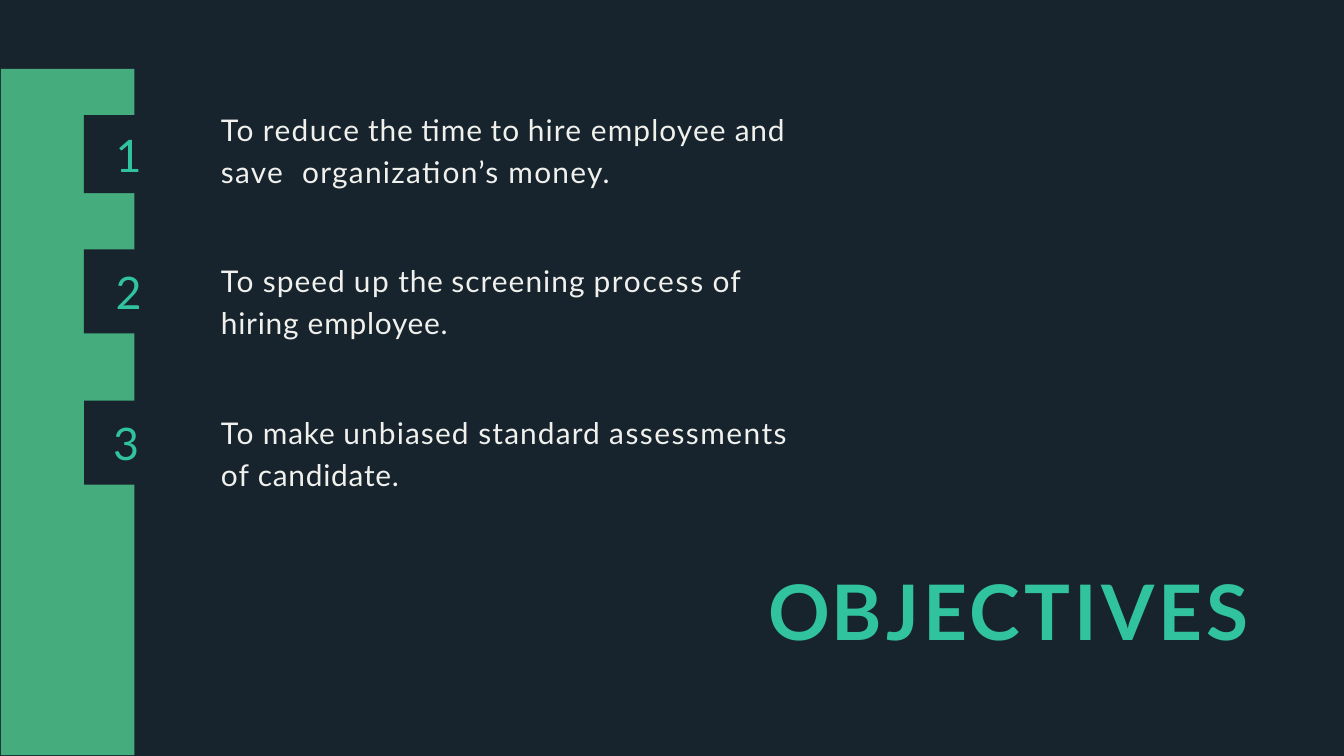
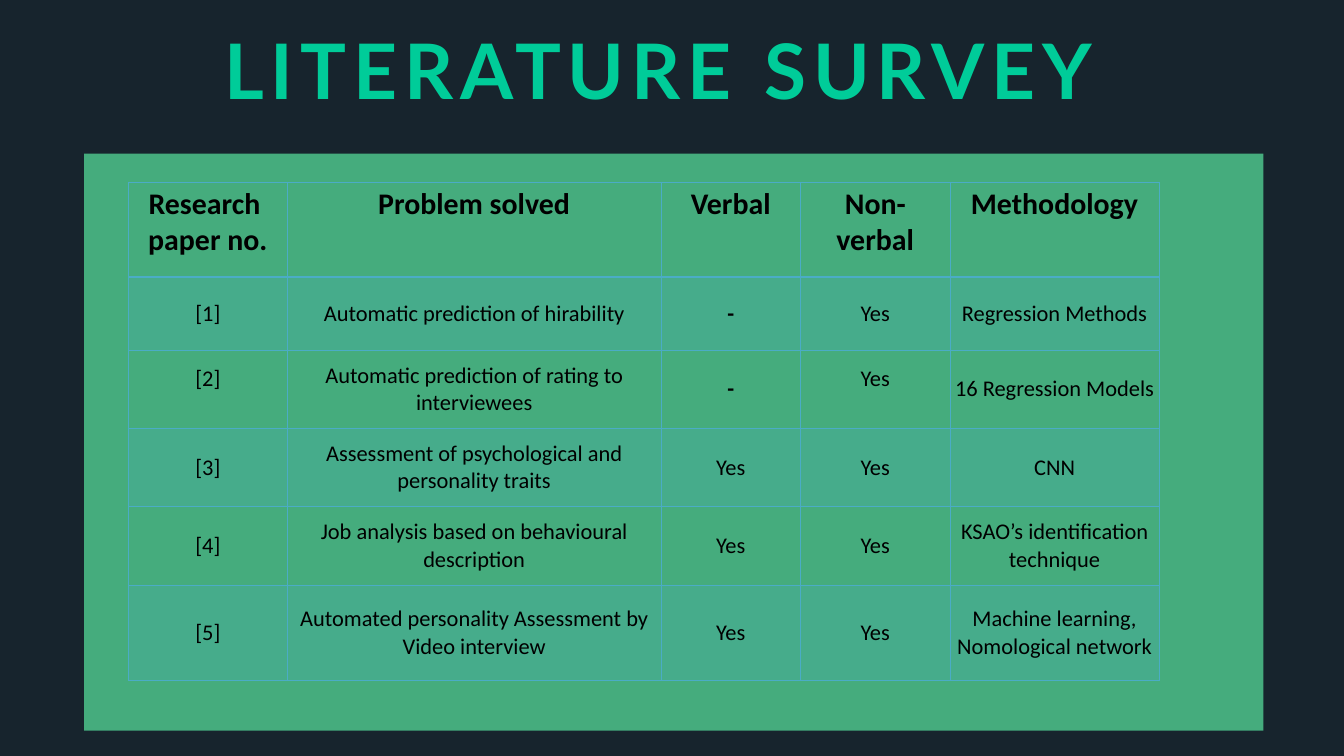
from lxml import etree
from pptx import Presentation
from pptx.dml.color import RGBColor
from pptx.enum.shapes import MSO_SHAPE
from pptx.enum.text import MSO_ANCHOR, MSO_AUTO_SIZE, PP_ALIGN
from pptx.oxml.ns import qn
from pptx.util import Inches, Pt

RECT = MSO_SHAPE.RECTANGLE
TOP, MIDDLE = MSO_ANCHOR.TOP, MSO_ANCHOR.MIDDLE
LEFT, CENTER = PP_ALIGN.LEFT, PP_ALIGN.CENTER
NO_FIT = MSO_AUTO_SIZE.NONE

# The slide is a grid of 16 columns and 9 rows
COLS, ROWS = 16, 9
UNIT = Inches(1.25)

COLORS = {"dark": "17242D", "green": "45AC7D", "teal": "31C29E",
          "mint": "00CC99", "pale": "F0F0ED", "blue": "4BACC6",
          "black": "000000"}

# Objectives: badge (top, width, height), text width, runs with spacing
GOALS = [
    ((1.37, 1.06, 0.93), 7.04,
     [("To ", 1.8), ("reduce ", 1.5), ("the ", 0.8), ("time ", 0.9),
      ("to ", 1.1), ("hire employee ", 1.2), ("and ", 0.8),
      ("save  organization’s money.", 1.4)]),
    ((2.97, 1.06, 1), 7.18,
     [("To ", 1.8), ("speed ", 1.1), ("up ", 1.9), ("the ", 0.8),
      ("screening ", 1.1), ("process ", 1.8), ("of ", 1.2),
      ("hiring employee.", 0.8)]),
    ((4.77, 1, 1), 6.98,
     [("To ", 1.8), ("make ", 0.9), ("unbiased standard ", 1.2),
      ("assessments ", 1.6), ("of ", 1.2), ("candidate.", 0.8)]),
]

# Survey: a line break in a cell starts a new paragraph
HEAD = ["Research \npaper no.", "Problem solved", "Verbal", "Non-verbal",
        "Methodology"]
PAPERS = [
    ["[1]", "Automatic prediction of hirability", "-", "Yes",
     "Regression Methods"],
    ["[2]", "Automatic prediction of rating to interviewees", "-", "Yes",
     "16 Regression Models"],
    ["[3]", "Assessment of psychological and personality traits", "Yes",
     "Yes", "CNN"],
    ["[4]", "Job analysis based on behavioural description", "Yes", "Yes",
     "KSAO’s identification technique"],
    ["[5]", "Automated personality Assessment by\nVideo interview", "Yes",
     "Yes", "Machine learning, Nomological network"],
]
WIDTHS = [1.89, 4.45, 1.66, 1.78, 2.49]
HEIGHTS = [1.13, 0.87, 0.93, 0.93, 0.94, 1.13]
RAISED = [(2, 0), (2, 3)]  # cells whose text sits above the middle


def grid(*nums):
    return [round(n * UNIT) for n in nums]


def color(name):
    return RGBColor.from_string(COLORS[name])


def add_run(para, text, size, tint, face="Lato", bold=False, gap=0):
    run = para.add_run()
    run.text = text
    font = run.font
    font.name, font.size, font.bold = face, Pt(size), bold
    font.color.rgb = color(tint)
    if gap:
        run._r.get_or_add_rPr().set("spc", str(round(gap * 100)))


def set_frame(frame, anchor, inset=0):
    frame.word_wrap = True
    frame.auto_size = NO_FIT
    frame.vertical_anchor = anchor
    frame.margin_left = frame.margin_right = Inches(inset)
    frame.margin_top = frame.margin_bottom = Inches(inset / 2)


def add_title(slide, box, runs, tint, inset=0):
    title = slide.shapes.title
    title.left, title.top, title.width, title.height = grid(*box)
    set_frame(title.text_frame, TOP, inset)
    para = title.text_frame.paragraphs[0]
    para.alignment = LEFT
    for text, gap in runs:
        add_run(para, text, 82, tint, bold=True, gap=gap)


def add_block(slide, box, tint):
    block = slide.shapes.add_shape(RECT, *grid(*box))
    block.shadow.inherit = False
    block.fill.solid()
    block.fill.fore_color.rgb = color(tint)
    block.line.fill.background()
    return block


def add_backdrop(deck, slide):
    # Masters cannot add shapes, so the block is made here and moved
    node = add_block(slide, (0, 0, COLS, ROWS), "dark")._element
    node.nvSpPr.cNvPr.set("id", "99")
    deck.slide_master.shapes._spTree.insert(2, node)


def add_goal(slide, num, badge, width, runs):
    top, wide, high = badge
    frame = add_block(slide, (1, top, wide, high), "dark").text_frame
    set_frame(frame, MIDDLE)
    para = frame.paragraphs[0]
    para.alignment = CENTER
    add_run(para, str(num), 48, "teal", gap=3.7)

    box = (2.63, 1.26 + 1.8 * (num - 1), width, 0.97)
    frame = slide.shapes.add_textbox(*grid(*box)).text_frame
    set_frame(frame, TOP)
    para = frame.paragraphs[0]
    para.line_spacing = 1.17
    para.space_before = Pt(1)
    for text, gap in runs:
        # The space that ends a run keeps its normal width
        add_run(para, text.rstrip(), 32, "pale", gap=gap)
        if text.endswith(" "):
            add_run(para, " ", 32, "pale")


def add_child(node, tag, **attrs):
    return etree.SubElement(node, qn(tag), attrs)


def set_borders(cell, base):
    props = cell._tc.get_or_add_tcPr()
    for spot, side in enumerate("LRTB"):
        width = base if side == "B" else 1
        line = props.makeelement(qn("a:ln" + side), {"w": str(Pt(width))})
        fill = add_child(line, "a:solidFill")
        add_child(fill, "a:srgbClr", val=COLORS["blue"])
        props.insert(spot, line)


def tint_cell(cell, share):
    cell.fill.solid()
    cell.fill.fore_color.rgb = color("blue")
    tone = cell._tc.tcPr.find(".//" + qn("a:srgbClr"))
    add_child(tone, "a:alpha", val=str(share * 1000))


def fill_cell(cell, text, row, col):
    head = row == 0
    if row % 2:
        tint_cell(cell, 20)
    else:
        cell.fill.background()
    set_borders(cell, 2 if head else 1)
    if not head:
        cell.vertical_anchor = MIDDLE
        cell.margin_left = cell.margin_right = Inches(0.07)
        cell.margin_top = 0
        cell.margin_bottom = Inches(0.32 if (row, col) in RAISED else 0)
    frame = cell.text_frame
    for num, line in enumerate(text.split("\n")):
        para = frame.add_paragraph() if num else frame.paragraphs[0]
        para.alignment = CENTER
        add_run(para, line, 32 if head else 24, "black", "Calibri",
                bold=head or text == "-")


def add_survey(slide):
    data = [HEAD] + PAPERS
    box = (1.53, 2.17, sum(WIDTHS), sum(HEIGHTS))
    table = slide.shapes.add_table(len(data), len(HEAD), *grid(*box)).table
    table.first_row = table.horz_banding = False
    for part, width in zip(table.columns, grid(*WIDTHS)):
        part.width = width
    for part, height in zip(table.rows, grid(*HEIGHTS)):
        part.height = height
    for row, texts in enumerate(data):
        for col, text in enumerate(texts):
            fill_cell(table.cell(row, col), text, row, col)


def main():
    deck = Presentation()
    deck.slide_width, deck.slide_height = grid(COLS, ROWS)
    layout = deck.slide_layouts.get_by_name("Title Only")

    # Objectives
    slide = deck.slides.add_slide(layout)
    add_backdrop(deck, slide)
    add_title(slide, (9.15, 6.71, 6.27, 1.12),
              [("O", 1.6), ("BJECTIVES", 4.5)], "teal")
    add_block(slide, (0.01, 0.82, 1.59, 8.17), "green")
    for num, goal in enumerate(GOALS, 1):
        add_goal(slide, num, *goal)

    # Literature survey
    slide = deck.slides.add_slide(layout)
    add_title(slide, (2.59, 0.23, 12.06, 1.18),
              [("LITERATURE SURVEY", 7.5)], "mint", inset=0.1)
    add_block(slide, (1, 1.83, 14.04, 6.87), "green")
    add_survey(slide)

    deck.save("out.pptx")


if __name__ == "__main__":
    main()
